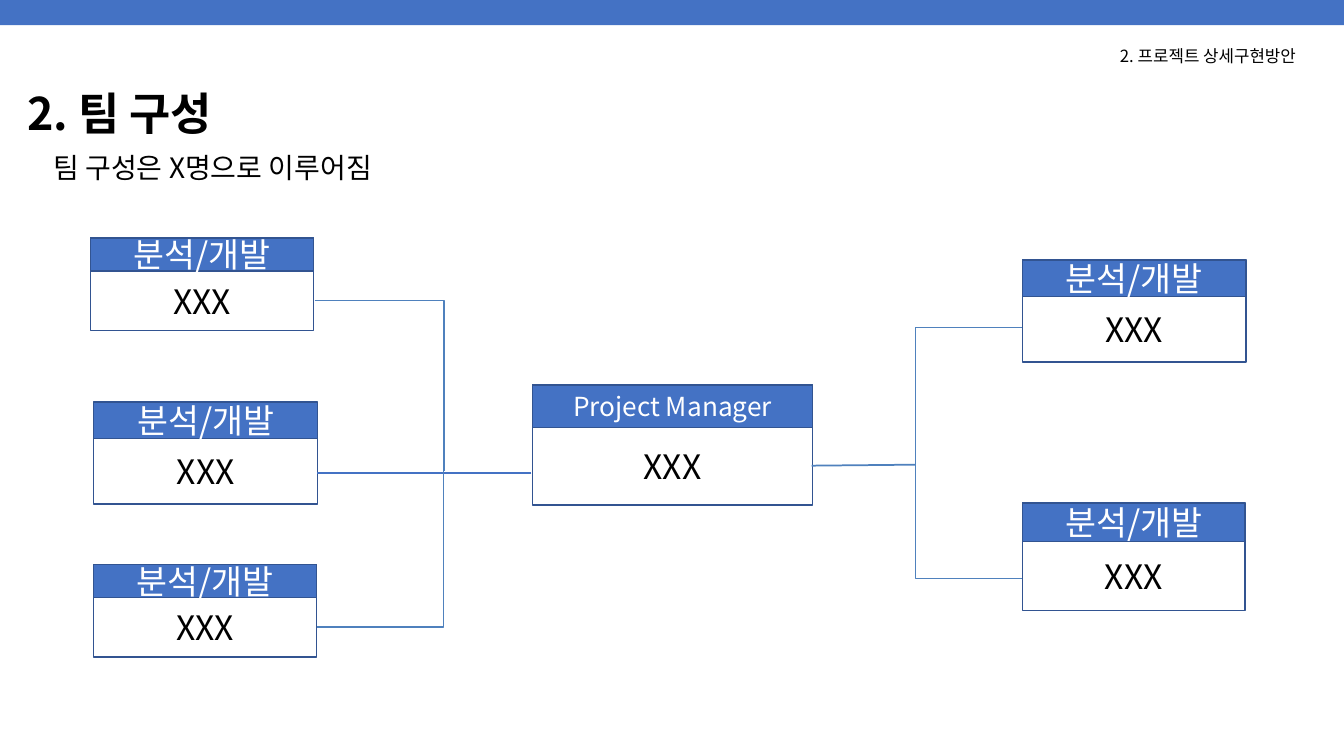
from lxml import etree
from pptx import Presentation
from pptx.dml.color import RGBColor
from pptx.enum.shapes import MSO_CONNECTOR, MSO_SHAPE
from pptx.enum.text import MSO_ANCHOR, MSO_AUTO_SIZE, PP_ALIGN
from pptx.oxml.ns import qn
from pptx.util import Inches, Pt

RECTANGLE = MSO_SHAPE.RECTANGLE
STRAIGHT, ELBOW = MSO_CONNECTOR.STRAIGHT, MSO_CONNECTOR.ELBOW
TOP, MIDDLE = MSO_ANCHOR.TOP, MSO_ANCHOR.MIDDLE
LEFT, CENTER = PP_ALIGN.LEFT, PP_ALIGN.CENTER
FONT = "Noto Sans CJK KR"
BLUE, BORDER, LINK = "4472C4", "325491", "4F81BD"
BLACK, WHITE = "000000", "FFFFFF"
ROLE, MEMBER = "분석/개발", "XXX"
LEFT_TRUNK, RIGHT_TRUNK = (4.4, 4.67), (9.08, 4.6)

TEAM_CARDS = [
    (0.9, 2.36, 2.21, 0.92, 0.33),
    (0.93, 3.99, 2.22, 1.01, 0.36),
    (0.93, 5.6, 2.21, 0.92, 0.33),
    (10.14, 2.58, 2.22, 1.01, 0.36),
    (10.14, 4.99, 2.21, 1.07, 0.38),
]
BRANCHES = [
    ((3.12, 2.98), LEFT_TRUNK),
    ((3.14, 6.22), LEFT_TRUNK),
    ((10.14, 3.25), RIGHT_TRUNK),
    ((10.14, 5.74), RIGHT_TRUNK),
]


def color(value):
    """Turn a hex string into a colour."""
    return RGBColor.from_string(value)


def write(shape, text, size=24, ink=BLACK, bold=False, align=LEFT, anchor=TOP,
          wrap=True, spacing=None):
    """Put one formatted paragraph into a shape."""
    frame = shape.text_frame
    frame.word_wrap = wrap
    frame.vertical_anchor = anchor
    if not wrap:
        frame.auto_size = MSO_AUTO_SIZE.SHAPE_TO_FIT_TEXT
    para = frame.paragraphs[0]
    para.alignment = align
    para.line_spacing = spacing
    span = para.add_run()
    span.text = text
    span.font.name = FONT
    span.font.size = Pt(size)
    span.font.bold = bold
    span.font.color.rgb = color(ink)
    east_asian = etree.SubElement(span.font._element, qn("a:ea"))
    east_asian.set("typeface", FONT)


def add_text(shapes, box, text, **style):
    """Add a text box at the given place."""
    write(shapes.add_textbox(*map(Inches, box)), text, **style)


def add_box(shapes, box, fill=None, line=None):
    """Add a rectangle with optional fill and border."""
    shape = shapes.add_shape(RECTANGLE, *map(Inches, box))
    shape.shadow.inherit = False
    if fill:
        shape.fill.solid()
        shape.fill.fore_color.rgb = color(fill)
    else:
        shape.fill.background()
    if line:
        shape.line.color.rgb = color(line)
        shape.line.width = Pt(1)
    else:
        shape.line.fill.background()
    return shape


def add_card(page, box, header_height, role=ROLE, size=24):
    """Add a role header above a member name."""
    left, top, width, height = box
    shapes = page.shapes.add_group_shape().shapes
    add_box(shapes, box, line=BORDER)
    header = add_box(shapes, (left, top, width, header_height), BLUE, BORDER)
    write(header, role, size=size, ink=WHITE, align=CENTER, anchor=MIDDLE)
    name_box = (left, top + header_height, width, height - header_height)
    add_text(shapes, name_box, MEMBER, align=CENTER, anchor=MIDDLE)


def add_link(page, start, end, kind=STRAIGHT, ink=LINK, width=1.25):
    """Join two points, with one corner for an elbow."""
    link = page.shapes.add_connector(kind, *map(Inches, start + end))
    link.line.color.rgb = color(ink)
    link.line.width = Pt(width)
    properties = link._element.spPr
    etree.SubElement(properties, qn("a:effectLst"))
    if kind == ELBOW:
        properties.find(qn("a:prstGeom")).set("prst", "bentConnector2")


def add_heading(page):
    """Add the top band, section name, title and summary."""
    add_box(page.shapes, (0, 0, 13.33, 0.25), BLUE)
    add_text(page.shapes, (0.17, 0.71, 12.93, 0.89), "2. 팀 구성",
             size=32, bold=True, anchor=MIDDLE, spacing=0.9)
    add_text(page.shapes, (11.01, 0.4, 2.13, 0.3), "2. 프로젝트 상세구현방안",
             size=12, wrap=False)
    add_text(page.shapes, (0.43, 1.48, 12.41, 0.65), "팀 구성은 X명으로 이루어짐",
             size=20, spacing=0.9)


def add_team_chart(page):
    """Add the manager, the team cards and their links."""
    add_card(page, (5.28, 3.82, 2.78, 1.19), 0.42, "Project Manager", 18.7)
    for *box, header_height in TEAM_CARDS:
        add_card(page, box, header_height)
    add_link(page, (5.27, 4.69), (3.14, 4.69), ink=BLUE, width=1.5)
    add_link(page, (8.05, 4.62), (9.08, 4.61))
    for card_side, trunk in BRANCHES:
        add_link(page, card_side, trunk, ELBOW)


def main():
    """Build and save the slide."""
    deck = Presentation()
    deck.slide_width, deck.slide_height = Inches(13.33), Inches(7.5)
    page = deck.slides.add_slide(deck.slide_layouts[6])
    add_heading(page)
    add_team_chart(page)
    deck.save("out.pptx")


if __name__ == "__main__":
    main()
